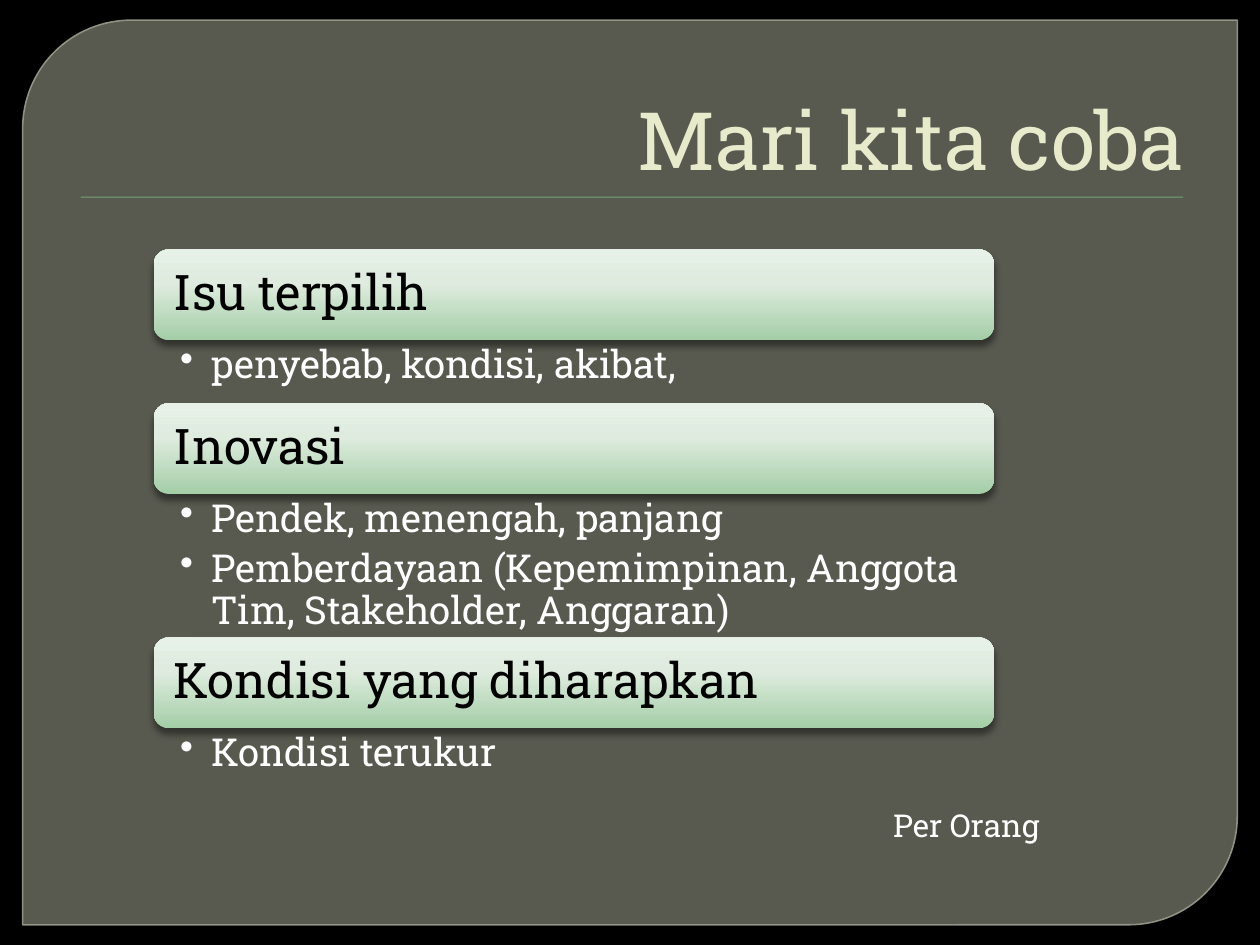
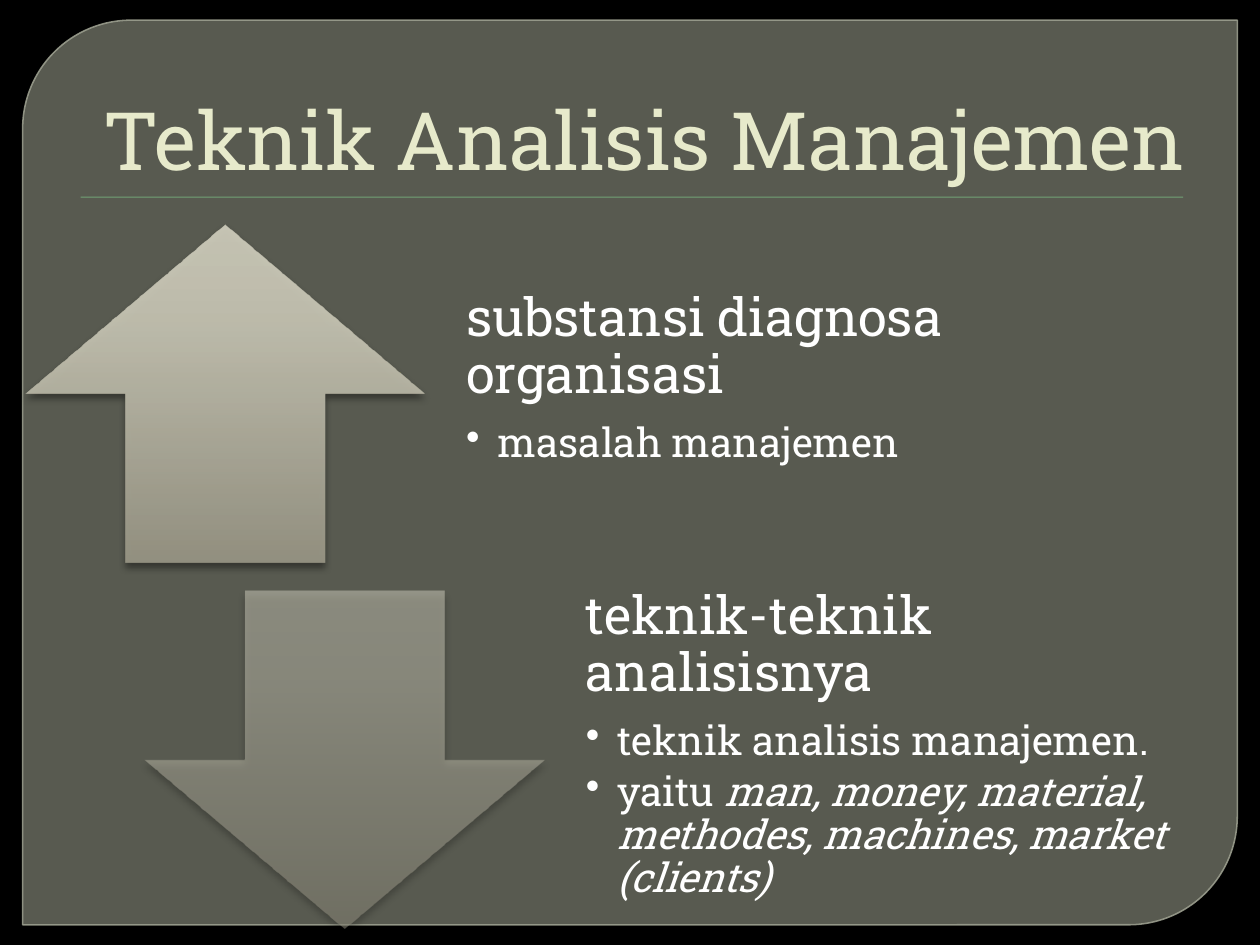
from dataclasses import dataclass
from typing import Optional

from lxml import etree
from pptx import Presentation
from pptx.dml.color import RGBColor
from pptx.enum.shapes import MSO_SHAPE as Shape
from pptx.enum.text import MSO_ANCHOR as Anchor, PP_ALIGN as Align
from pptx.oxml.ns import qn
from pptx.shapes.autoshape import Shape as AutoShape
from pptx.slide import Slide
from pptx.text.text import TextFrame
from pptx.util import Inches, Pt


# Theme: colours, type sizes and gradients shared by both slides
@dataclass(frozen=True)
class Theme:
    font: str = "Roboto Slab"
    backdrop: str = "000000"
    panel: str = "888B7B"
    panel_edge: str = "9DA090"
    rule: str = "72A376"
    title: str = "E7EACB"
    light: str = "FFFFFF"
    dark: str = "000000"
    green_stops: tuple = ((0, "A4CEA7"), (62, "DEEBDE"), (100, "E7F1E8"))
    stone_stops: tuple = ((0, "9B9887"), (72, "CAC8B7"), (100, "D2D0BF"))
    title_size: int = 46
    bar_size: int = 28
    bar_bullet_size: int = 22
    arrow_size: int = 30
    arrow_bullet_size: int = 23
    note_size: int = 18


THEME = Theme()


@dataclass(frozen=True)
class Box:
    left: float
    top: float
    width: float
    height: float

    def lengths(self) -> tuple:
        return tuple(map(Inches, (self.left, self.top, self.width, self.height)))


@dataclass(frozen=True)
class Line:
    text: str
    size: int
    color: str = THEME.light
    italic_tail: str = ""
    bullet: bool = False
    spacing: Optional[float] = None
    after: float = 0
    align: Align = Align.LEFT


@dataclass(frozen=True)
class Step:
    heading: str
    bullets: tuple
    body_height: float


@dataclass(frozen=True)
class Direction:
    arrow: Shape
    opacity: int
    heading: str
    bullets: tuple  # pairs of plain text and italic tail


STEPS = (
    Step("Isu terpilih", ("penyebab, kondisi, akibat,",), 0.5),
    Step("Inovasi", ("Pendek, menengah, panjang",
                     "Pemberdayaan (Kepemimpinan, Anggota Tim, Stakeholder, Anggaran)"), 1.14),
    Step("Kondisi yang diharapkan", ("Kondisi terukur",), 0.5),
)
DIRECTIONS = (
    Direction(Shape.UP_ARROW, 90, "substansi diagnosa organisasi",
              (("masalah manajemen", ""),)),
    Direction(Shape.DOWN_ARROW, 50, "teknik-teknik analisisnya",
              (("teknik analisis manajemen.", ""),
               ("yaitu ", "man, money, material, methodes, machines, market (clients)"))),
)


# XML helpers for effects
def add_node(parent: etree._Element, tag: str, **attributes: object) -> etree._Element:
    return etree.SubElement(parent, qn(tag), {k: str(v) for k, v in attributes.items()})


def set_opacity(color_node: etree._Element, percent: int) -> None:
    add_node(color_node, "a:alpha", val=percent * 1000)


def add_shadow(shape: AutoShape, opacity: int, blur: int, distance: int) -> None:
    effects = shape._element.spPr.find(qn("a:effectLst"))
    shadow = add_node(effects, "a:outerShdw", blurRad=Pt(blur), dist=Pt(distance),
                      dir=90 * 60000, algn="t", rotWithShape=0)
    set_opacity(add_node(shadow, "a:srgbClr", val="000000"), opacity)


def fill_upward(shape: AutoShape, stops: tuple, opacity: int) -> None:
    gradient = etree.Element(qn("a:gradFill"), rotWithShape="1")
    stop_list = add_node(gradient, "a:gsLst")
    for percent, color in stops:
        stop = add_node(stop_list, "a:gs", pos=percent * 1000)
        color_node = add_node(stop, "a:srgbClr", val=color)
        if opacity < 100:
            set_opacity(color_node, opacity)
    add_node(gradient, "a:lin", ang=270 * 60000, scaled=0)
    shape._element.spPr.find(qn("a:ln")).addprevious(gradient)


# Drawing helpers
def draw_shape(slide: Slide, kind: Shape, box: Box, fill: Optional[str] = None) -> AutoShape:
    shape = slide.shapes.add_shape(kind, *box.lengths())
    shape.shadow.inherit = False
    shape.line.fill.background()
    if fill:
        shape.fill.solid()
        shape.fill.fore_color.rgb = RGBColor.from_string(fill)
    return shape


def draw_raised(slide: Slide, kind: Shape, box: Box, stops: tuple, opacity: int = 100) -> None:
    shape = draw_shape(slide, kind, box)
    fill_upward(shape, stops, opacity)
    add_shadow(shape, 43, 4, 3)


def write_line(frame: TextFrame, index: int, line: Line) -> None:
    paragraph = frame.add_paragraph() if index else frame.paragraphs[0]
    paragraph.text = line.text
    if line.italic_tail:
        paragraph.add_run().text = line.italic_tail
        paragraph.runs[-1].font.italic = True
    paragraph.alignment = line.align
    if line.spacing:
        paragraph.line_spacing = line.spacing
    paragraph.space_after = Pt(line.after)
    if line.bullet:
        paragraph.level = 1
        properties = paragraph._p.get_or_add_pPr()
        properties.set("marL", str(Inches(0.25)))
        properties.set("indent", str(-Inches(0.25)))
        add_node(properties, "a:buChar", char="•")
    for run in paragraph.runs:
        run.font.name = THEME.font
        run.font.size = Pt(line.size)
        run.font.color.rgb = RGBColor.from_string(line.color)


def draw_text(slide: Slide, box: Box, lines: list[Line], anchor: Anchor = Anchor.TOP,
              insets: tuple = (0.1, 0.05, 0.1, 0.05)) -> None:
    frame = slide.shapes.add_textbox(*box.lengths()).text_frame
    frame.word_wrap = True
    frame.vertical_anchor = anchor
    (frame.margin_left, frame.margin_top,
     frame.margin_right, frame.margin_bottom) = map(Inches, insets)
    for index, line in enumerate(lines):
        write_line(frame, index, line)


# Shared frame: backdrop, panel, rule and title
def add_titled_slide(deck: Presentation, title: str) -> Slide:
    slide = deck.slides.add_slide(deck.slide_layouts[6])
    backdrop = slide.background.fill
    backdrop.solid()
    backdrop.fore_color.rgb = RGBColor.from_string(THEME.backdrop)

    panel = draw_shape(slide, Shape.ROUND_2_DIAG_RECTANGLE,
                       Box(0.18, 0.16, 9.64, 7.18), THEME.panel)
    panel.adjustments[0], panel.adjustments[1] = 0.12, 0
    panel.line.color.rgb = RGBColor.from_string(THEME.panel_edge)
    panel.line.width = Pt(0.87)
    fill_color, edge_color = panel._element.spPr.iter(qn("a:srgbClr"))
    set_opacity(fill_color, 65)
    set_opacity(edge_color, 88)

    rule = draw_shape(slide, Shape.RECTANGLE, Box(0.64, 1.56, 8.75, 0.01), THEME.rule)
    add_shadow(rule, 75, 1, 1)
    draw_text(slide, Box(0.5, 0.28, 9, 1.25),
              [Line(title, THEME.title_size, THEME.title, align=Align.RIGHT)], Anchor.BOTTOM)
    return slide


# Slide 1: stacked bars, each followed by its bullets
def build_steps(deck: Presentation) -> None:
    slide = add_titled_slide(deck, "Mari kita coba")
    left, top, width, bar_height, pad = 1.22, 1.98, 6.67, 0.72, 0.04
    for step in STEPS:
        draw_raised(slide, Shape.ROUNDED_RECTANGLE, Box(left, top, width, bar_height),
                    THEME.green_stops)
        draw_text(slide, Box(left + pad, top + pad, width - 2 * pad, bar_height - 2 * pad),
                  [Line(step.heading, THEME.bar_size, THEME.dark, spacing=0.9)],
                  Anchor.MIDDLE, (0.12,) * 4)
        top += bar_height
        draw_text(slide, Box(left, top, width, step.body_height),
                  [Line(text, THEME.bar_bullet_size, bullet=True, spacing=0.9, after=5)
                   for text in step.bullets],
                  insets=(0.21, 0.04, 0.22, 0.04))
        top += step.body_height
    draw_text(slide, Box(3.35, 6.35, 5, 0.4),
              [Line("Per Orang", THEME.note_size, align=Align.RIGHT)])


# Slide 2: an up and a down arrow, stepped to the right
def build_directions(deck: Presentation) -> None:
    slide = add_titled_slide(deck, "Teknik Analisis Manajemen")
    arrow_width, height, gap = 3.17, 2.68, 0.1
    for index, item in enumerate(DIRECTIONS):
        left, top = 0.2 + 0.95 * index, 1.78 + 2.91 * index
        draw_raised(slide, item.arrow, Box(left, top, arrow_width, height),
                    THEME.stone_stops, item.opacity)
        heading = Line(item.heading, THEME.arrow_size, spacing=0.9, after=10.5)
        bullets = [Line(text, THEME.arrow_bullet_size, italic_tail=tail, bullet=True,
                        spacing=0.9, after=4) for text, tail in item.bullets]
        draw_text(slide, Box(left + arrow_width + gap, top, 5.38, height),
                  [heading, *bullets], Anchor.MIDDLE, (0.23, 0, 0.23, 0.23))


def main() -> None:
    deck = Presentation()
    deck.slide_width, deck.slide_height = Inches(10), Inches(7.5)
    build_steps(deck)
    build_directions(deck)
    deck.save("out.pptx")


if __name__ == "__main__":
    main()
